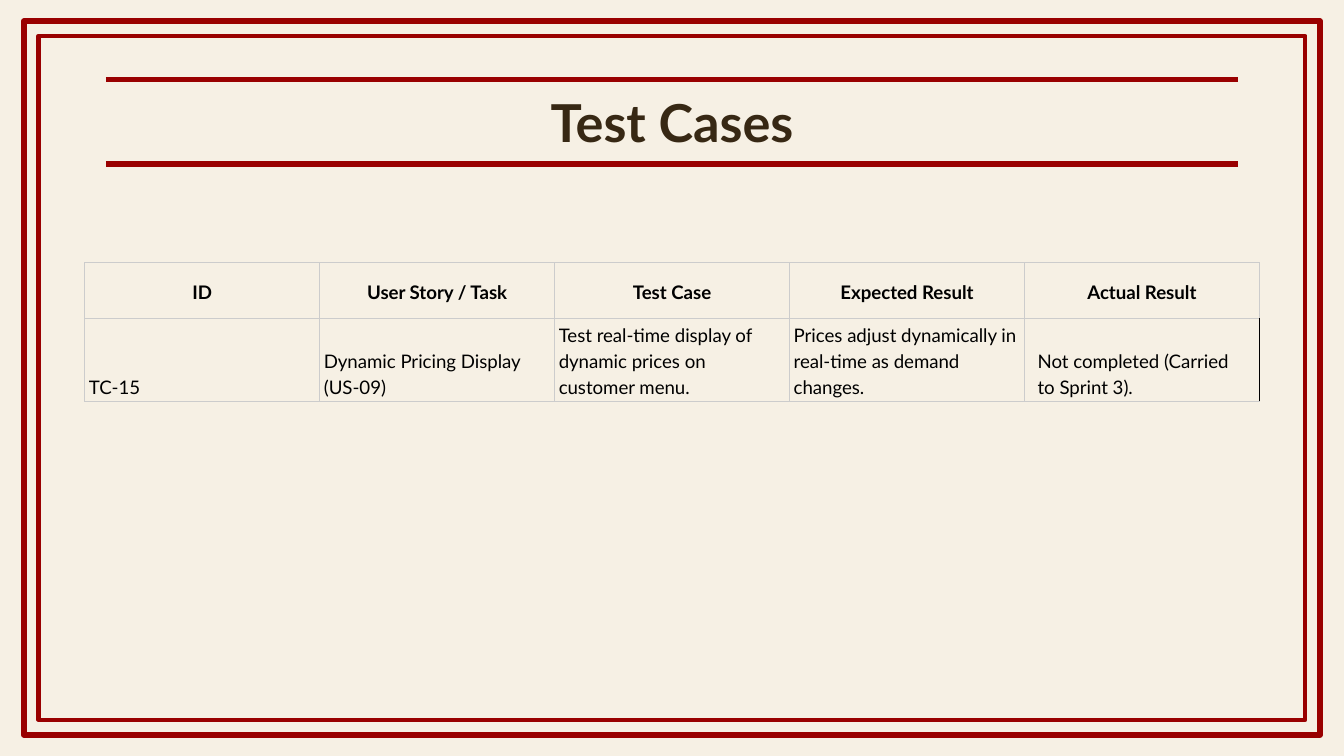
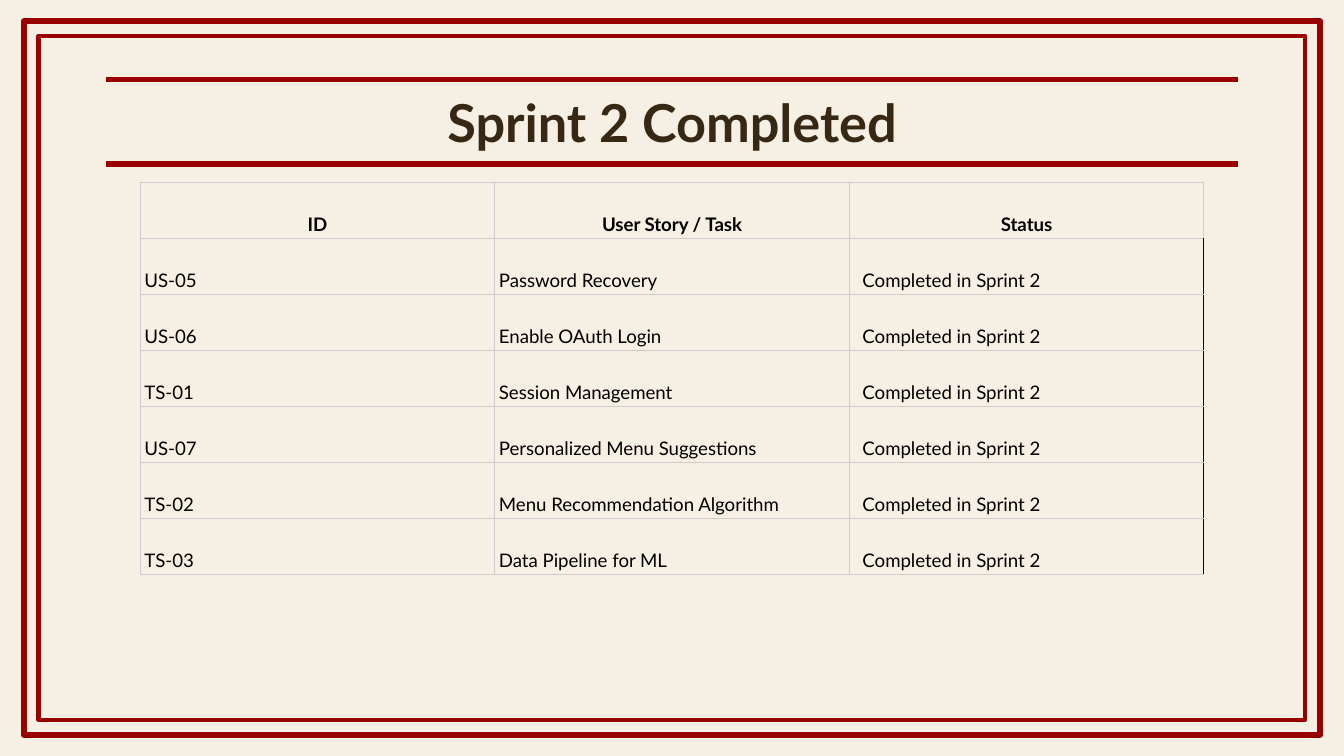
from lxml.etree import SubElement
from pptx import Presentation
from pptx.dml.color import RGBColor
from pptx.enum.shapes import MSO_CONNECTOR, MSO_SHAPE
from pptx.enum.text import MSO_ANCHOR, PP_ALIGN
from pptx.oxml.ns import qn
from pptx.util import Cm, Pt

CREAM, RED, BROWN, BLACK, GREY = "F6F0E4", "990000", "372814", "000000", "CCCCCC"
FONT = "Lato"
SLIDE_WIDTH, SLIDE_HEIGHT = 25.4, 14.29
TITLE_LEFT, TITLE_TOP, TITLE_BOTTOM = 2.0, 1.5, 3.1
ROW_HEIGHT = 1.06


def style_paragraph(paragraph, size, color, bold, alignment):
    paragraph.alignment = alignment
    paragraph.font.name = FONT
    paragraph.font.size = Pt(size)
    paragraph.font.bold = bold
    paragraph.font.color.rgb = RGBColor.from_string(color)


def add_border(cell, side, color):
    """Draw one side of a cell; sides must be added in the order L, R, T, B."""
    line = SubElement(cell._tc.get_or_add_tcPr(), qn(f"a:ln{side}"), w=str(Pt(0.42)))
    fill = SubElement(line, qn("a:solidFill"))
    SubElement(fill, qn("a:srgbClr"), val=color)


tables = [
    {
        "title": "Test Cases",
        "left": 1.6, "top": 4.96, "column_width": 4.44,
        "header_anchor": MSO_ANCHOR.MIDDLE,
        "rows": [
            ["ID", "User Story / Task", "Test Case", "Expected Result", "Actual Result"],
            ["TC-15", "Dynamic Pricing Display (US-09)",
             "Test real-time display of dynamic prices on customer menu.",
             "Prices adjust dynamically in real-time as demand changes.",
             "Not completed (Carried to Sprint 3)."],
        ],
    },
    {
        "title": "Sprint 2 Completed",
        "left": 2.65, "top": 3.44, "column_width": 6.7,
        "header_anchor": MSO_ANCHOR.BOTTOM,
        "rows": [["ID", "User Story / Task", "Status"]] + [
            [story_id, story, "Completed in Sprint 2"]
            for story_id, story in [
                ("US-05", "Password Recovery"),
                ("US-06", "Enable OAuth Login"),
                ("TS-01", "Session Management"),
                ("US-07", "Personalized Menu Suggestions"),
                ("TS-02", "Menu Recommendation Algorithm"),
                ("TS-03", "Data Pipeline for ML"),
            ]
        ],
    },
]

presentation = Presentation()
presentation.slide_width = Cm(SLIDE_WIDTH)
presentation.slide_height = Cm(SLIDE_HEIGHT)

# Shared background and title position
background = presentation.slide_master.background.fill
background.solid()
background.fore_color.rgb = RGBColor.from_string(CREAM)
layout = presentation.slide_layouts[5]
layout_title = layout.placeholders[0]
layout_title.left, layout_title.top = Cm(TITLE_LEFT), Cm(TITLE_TOP)
layout_title.width = Cm(SLIDE_WIDTH - 2 * TITLE_LEFT)
layout_title.height = Cm(TITLE_BOTTOM - TITLE_TOP)
title_frame = layout_title.text_frame
title_frame.vertical_anchor = MSO_ANCHOR.MIDDLE
title_frame.margin_left = title_frame.margin_right = Cm(0.25)
title_frame.margin_top = title_frame.margin_bottom = Cm(0.25)

for content in tables:
    slide = presentation.slides.add_slide(layout)
    slide.shapes.title.text = content["title"]
    style_paragraph(slide.shapes.title.text_frame.paragraphs[0], 28, BROWN, True, PP_ALIGN.CENTER)

    # Double frame, moved to the layout once so that both slides share it
    if content is tables[0]:
        for index, (inset_x, inset_y, width) in enumerate([(0.45, 0.4, 3), (0.73, 0.68, 2.25)]):
            frame = slide.shapes.add_shape(
                MSO_SHAPE.RECTANGLE, Cm(inset_x), Cm(inset_y),
                Cm(SLIDE_WIDTH - 2 * inset_x), Cm(SLIDE_HEIGHT - 2 * inset_y))
            frame.name = f"Frame {index + 1}"
            frame.shadow.inherit = False
            frame.fill.background()
            frame.line.color.rgb = RGBColor.from_string(RED)
            frame.line.width = Pt(width)
            frame.element.nvSpPr.cNvPr.set("id", str(100 + index))
            layout.shapes.element.insert(2 + index, frame.element)

    for y in (TITLE_TOP, TITLE_BOTTOM):
        rule = slide.shapes.add_connector(
            MSO_CONNECTOR.STRAIGHT, Cm(TITLE_LEFT), Cm(y), Cm(SLIDE_WIDTH - TITLE_LEFT), Cm(y))
        rule.line.color.rgb = RGBColor.from_string(RED)
        rule.line.width = Pt(3)
        SubElement(rule.element.spPr, qn("a:effectLst"))

    rows = content["rows"]
    column_count = len(rows[0])
    table = slide.shapes.add_table(
        len(rows), column_count, Cm(content["left"]), Cm(content["top"]),
        Cm(content["column_width"] * column_count), Cm(ROW_HEIGHT * len(rows))).table
    table.first_row = table.horz_banding = False
    for row_index, row in enumerate(rows):
        is_header = row_index == 0
        for column_index, text in enumerate(row):
            is_result = not is_header and column_index == column_count - 1
            cell = table.cell(row_index, column_index)
            cell.text = text
            cell.vertical_anchor = content["header_anchor"] if is_header else MSO_ANCHOR.BOTTOM
            cell.margin_left = cell.margin_right = Cm(0.25 if is_result else 0.08)
            cell.margin_top = cell.margin_bottom = Cm(0.05)
            for side in "LRTB":
                add_border(cell, side, BLACK if is_result and side == "R" else GREY)
            cell.fill.background()
            paragraph = cell.text_frame.paragraphs[0]
            paragraph.line_spacing = 1.15
            style_paragraph(paragraph, 10, BLACK, is_header,
                            PP_ALIGN.CENTER if is_header else PP_ALIGN.LEFT)

presentation.save("out.pptx")
